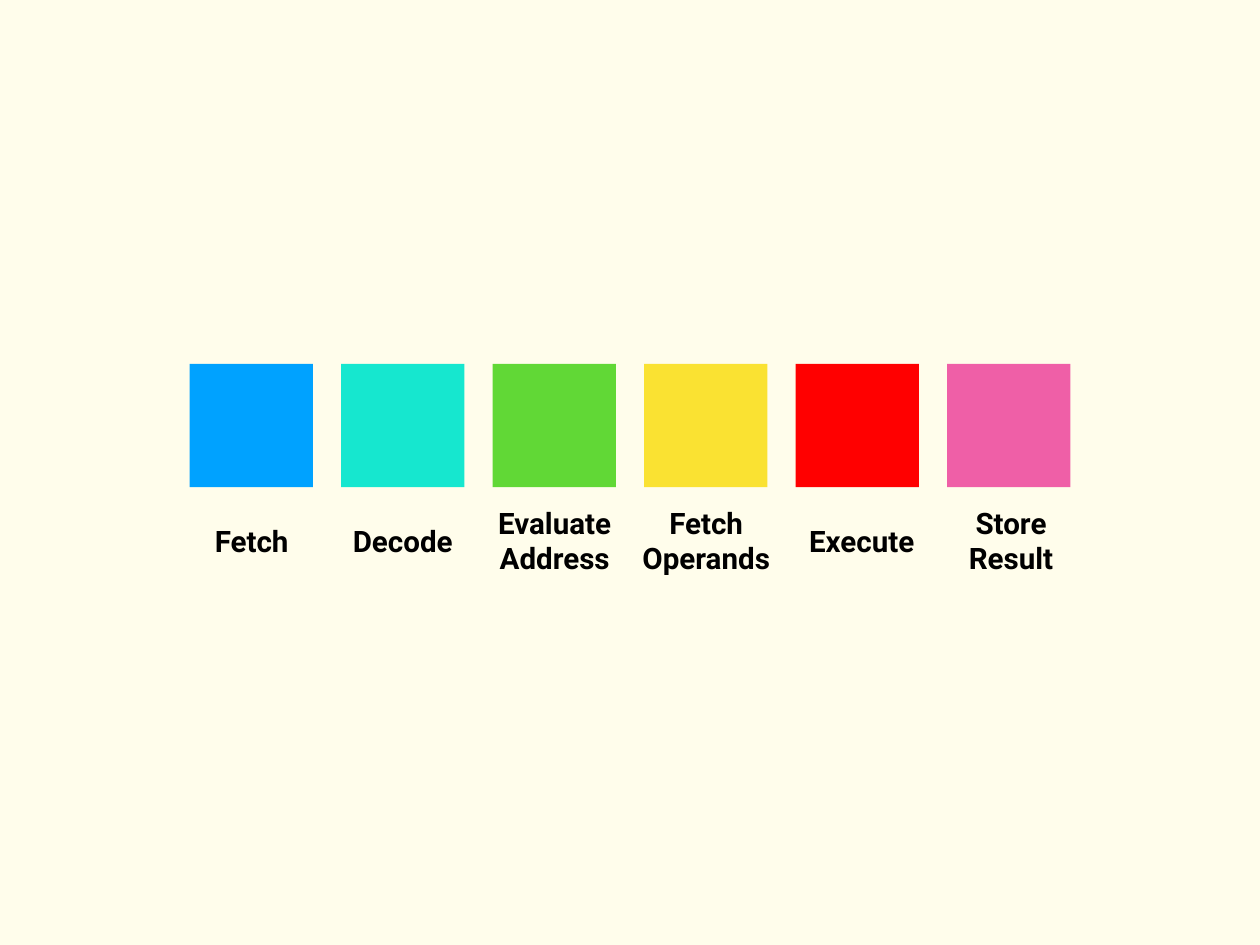
from pptx import Presentation
from pptx.dml.color import RGBColor
from pptx.enum.shapes import MSO_SHAPE
from pptx.enum.text import MSO_ANCHOR, MSO_AUTO_SIZE, PP_ALIGN
from pptx.util import Inches, Pt

CREAM = RGBColor(0xFF, 0xFD, 0xEB)
BLACK = RGBColor(0x00, 0x00, 0x00)
BLUE = RGBColor(0x00, 0xA2, 0xFF)
TEAL = RGBColor(0x16, 0xE7, 0xCF)
GREEN = RGBColor(0x61, 0xD8, 0x36)
YELLOW = RGBColor(0xFA, 0xE2, 0x32)
RED = RGBColor(0xFF, 0x00, 0x00)
PINK = RGBColor(0xEF, 0x5F, 0xA7)

SQUARE_LEFT = 2.14
SQUARE_TOP = 4.11
SQUARE_SIZE = 1.39
SQUARE_PITCH = 1.71
LABEL_MIDDLE = 6.1
LINE_HEIGHT = 0.41
INSET = 0.06

STAGES = [
    ("Fetch", BLUE, 2.33, 1.02),
    ("Decode", TEAL, 3.87, 1.35),
    ("Evaluate\nAddress", GREEN, 5.47, 1.58),
    ("Fetch\nOperands", YELLOW, 7.13, 1.68),
    ("Execute", RED, 9.02, 1.41),
    ("Store\nResult", PINK, 10.84, 1.14),
]


def add_square(page, left, color):
    square = page.shapes.add_shape(
        MSO_SHAPE.RECTANGLE, Inches(left), Inches(SQUARE_TOP),
        Inches(SQUARE_SIZE), Inches(SQUARE_SIZE))
    square.shadow.inherit = False
    square.fill.solid()
    square.fill.fore_color.rgb = color
    square.line.fill.background()


def write_text(frame, text, *, size=24, font="Roboto", color=BLACK, bold=True,
               align=PP_ALIGN.CENTER):
    frame.text = text
    for para in frame.paragraphs:
        para.alignment = align
        for span in para.runs:
            span.font.size = Pt(size)
            span.font.name = font
            span.font.bold = bold
            span.font.color.rgb = color


def add_label(page, text, left, width):
    height = LINE_HEIGHT * len(text.splitlines()) + 0.09
    box = page.shapes.add_textbox(
        Inches(left), Inches(LABEL_MIDDLE - height / 2),
        Inches(width), Inches(height))
    frame = box.text_frame
    frame.margin_left = frame.margin_right = Inches(INSET)
    frame.margin_top = frame.margin_bottom = Inches(INSET)
    frame.vertical_anchor = MSO_ANCHOR.MIDDLE
    frame.word_wrap = False
    frame.auto_size = MSO_AUTO_SIZE.SHAPE_TO_FIT_TEXT
    write_text(frame, text)


def main():
    deck = Presentation()
    deck.slide_width = Inches(14.22)
    deck.slide_height = Inches(10.67)
    page = deck.slides.add_slide(deck.slide_layouts[6])
    page.background.fill.solid()
    page.background.fill.fore_color.rgb = CREAM
    for index, (name, color, label_left, label_width) in enumerate(STAGES):
        add_square(page, SQUARE_LEFT + index * SQUARE_PITCH, color)
        add_label(page, name, label_left, label_width)
    deck.save("out.pptx")


if __name__ == "__main__":
    main()
